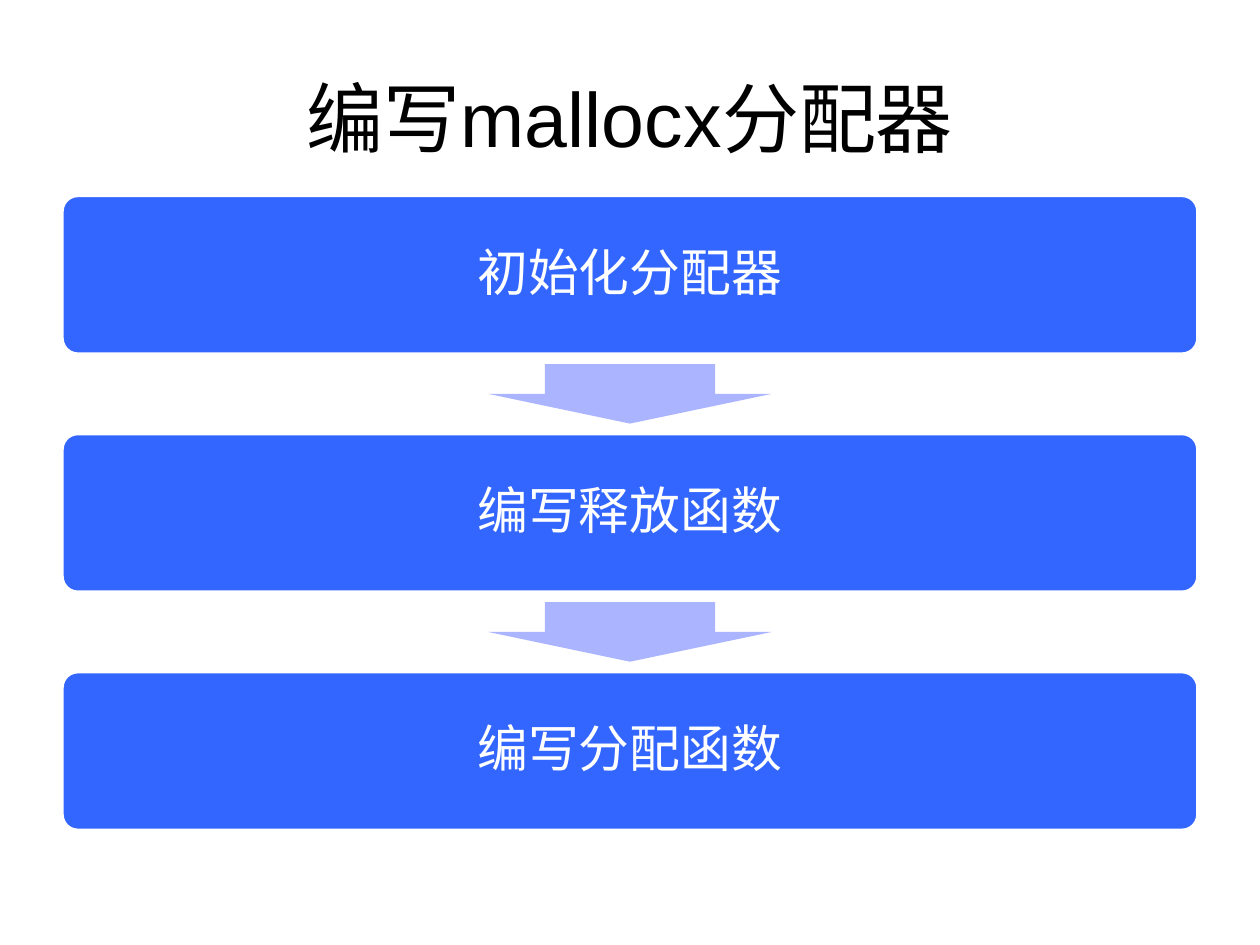
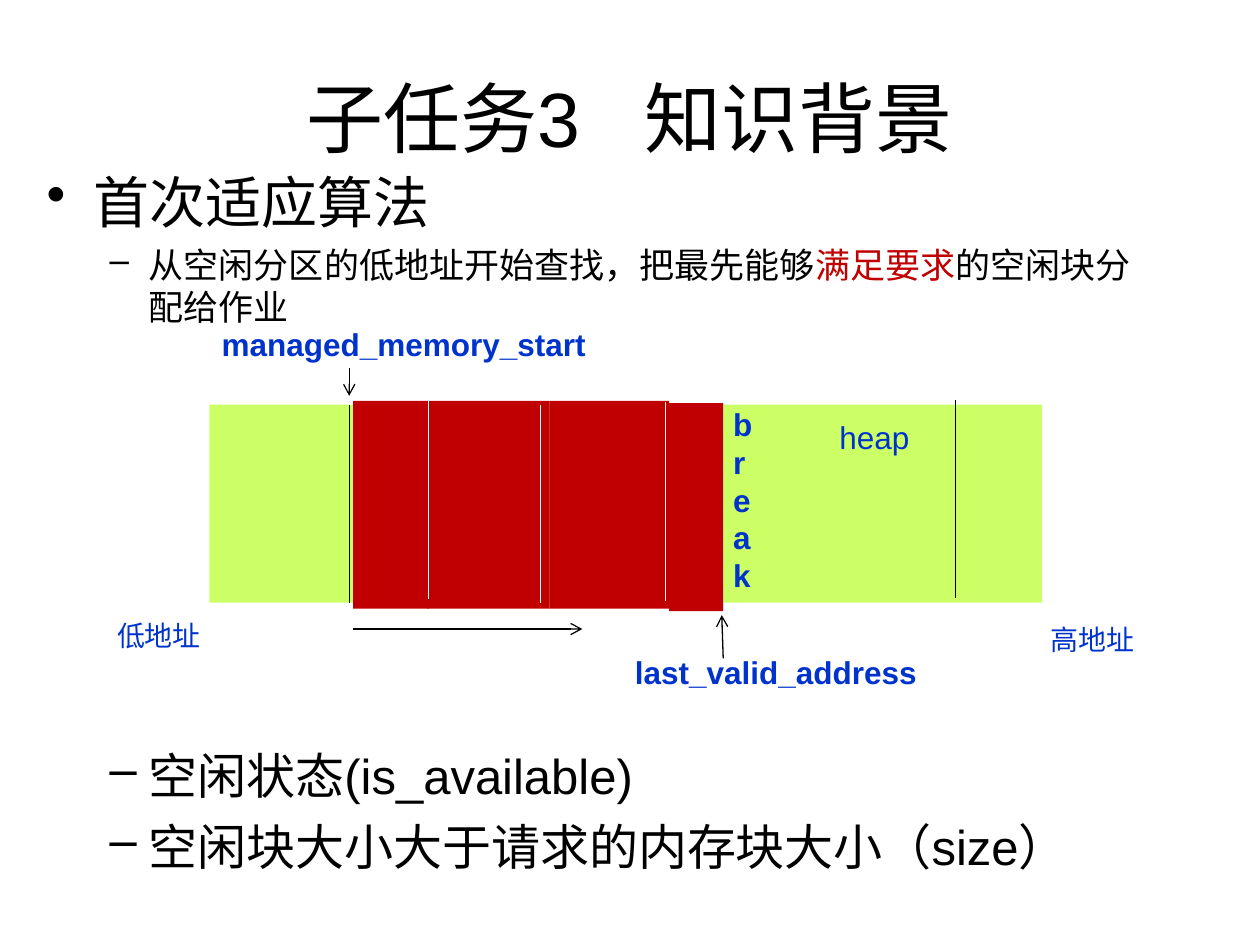
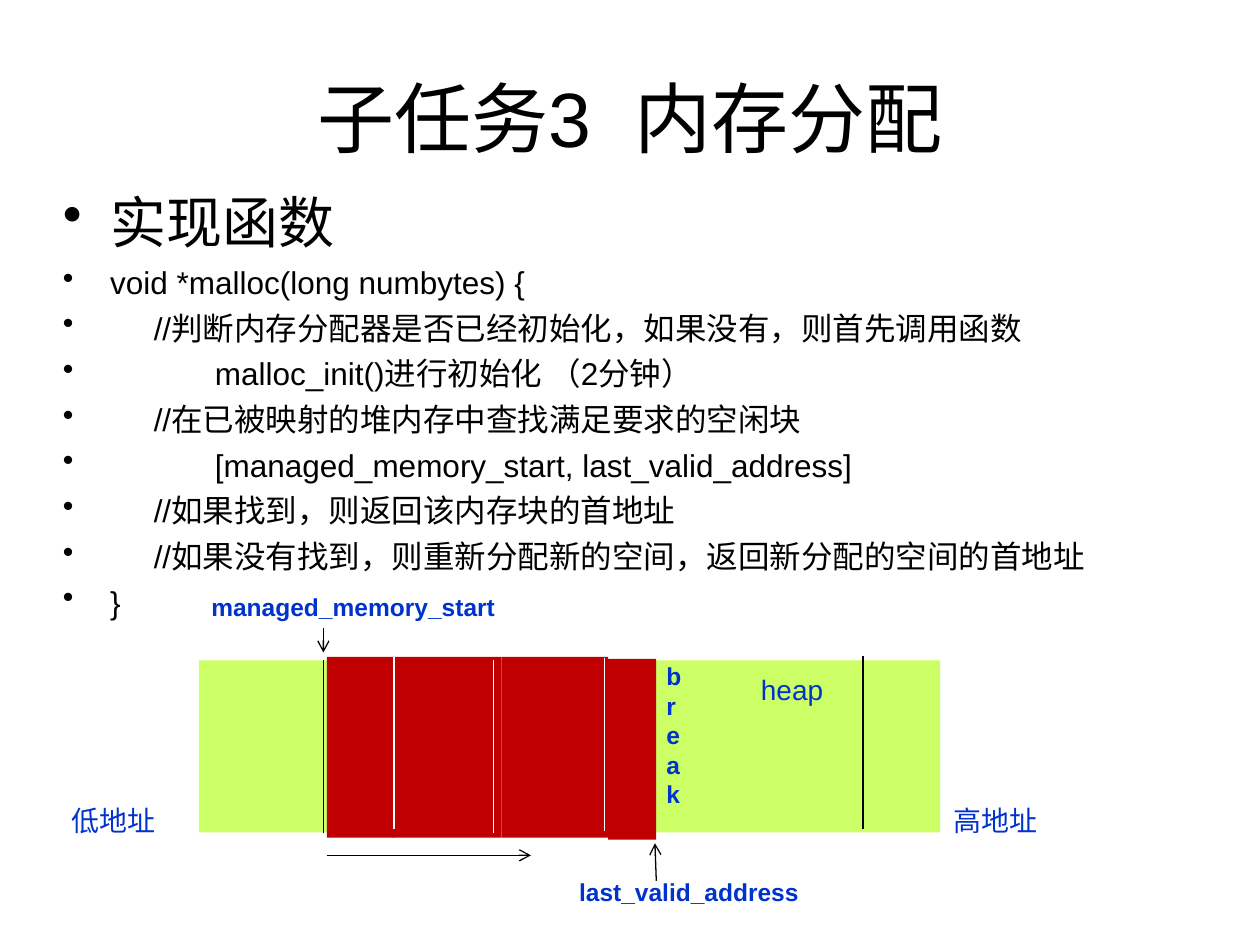
from dataclasses import dataclass

from pptx import Presentation
from pptx.dml.color import RGBColor
from pptx.enum.shapes import MSO_CONNECTOR, MSO_SHAPE
from pptx.enum.text import MSO_ANCHOR, PP_ALIGN
from pptx.oxml.ns import qn
from pptx.util import Cm, Pt

STRAIGHT = MSO_CONNECTOR.STRAIGHT
RECTANGLE = MSO_SHAPE.RECTANGLE
ROUNDED = MSO_SHAPE.ROUNDED_RECTANGLE
DOWN_ARROW = MSO_SHAPE.DOWN_ARROW
MIDDLE = MSO_ANCHOR.MIDDLE
CENTER = PP_ALIGN.CENTER

BLACK = RGBColor(0x00, 0x00, 0x00)
WHITE = RGBColor(0xFF, 0xFF, 0xFF)
STEP_BLUE = RGBColor(0x33, 0x66, 0xFF)
ARROW_BLUE = RGBColor(0xAB, 0xB4, 0xFF)
LABEL_BLUE = RGBColor(0x00, 0x33, 0xCC)
HEAP_GREEN = RGBColor(0xCC, 0xFF, 0x66)
RED = RGBColor(0xC0, 0x00, 0x00)

FONT = "Arial"
SLIDE_WIDTH, SLIDE_HEIGHT = 25.4, 19.05
TITLE_SIZE = 44
SPACE_WIDTH = 0.278
BULLETS = (("•", 0.95, -0.95), ("–", 2.06, -0.79))

MAPPED_BLOCKS = ((2.9, -0.08, 1.52), (4.39, -0.08, 2.47),
                 (6.86, -0.08, 2.41), (9.27, -0.03, 1.09))
BLOCK_BORDERS = ((4.42, -0.08), (6.68, 0), (9.19, -0.05))
HEAP_BORDERS = ((2.82, 0), (15.04, -0.1))


@dataclass
class MemoryMap:
    """Place and scale of a heap drawing, with its label sizes."""
    left: float
    top: float
    scale_x: float
    scale_y: float
    pointer_size: int
    heap_size: int

    def point(self, x, y):
        """Turn drawing centimetres into slide centimetres."""
        return self.left + x * self.scale_x, self.top + y * self.scale_y

    def area(self, x, y, width, height):
        """Turn a drawing rectangle into a slide rectangle."""
        return *self.point(x, y), width * self.scale_x, height * self.scale_y


def style_run(run, size, color, bold=False):
    """Give a run the shared font."""
    run.font.name = FONT
    run.font.size = Pt(size)
    run.font.bold = bold
    run.font.color.rgb = color


def add_text_frame(slide, left, top, width, height):
    """Add a wrapping text box and return its frame."""
    frame = slide.shapes.add_textbox(Cm(left), Cm(top), Cm(width), Cm(height)).text_frame
    frame.word_wrap = True
    return frame


def add_label(slide, area, text, size, bold=False):
    """Add a blue label, one paragraph per line of text."""
    frame = add_text_frame(slide, *area)
    frame.text = text
    for paragraph in frame.paragraphs:
        style_run(paragraph.runs[0], size, LABEL_BLUE, bold)


def add_title(slide, text, topic="", gap_spaces=1):
    """Add the centred title, with a widened gap before the topic."""
    frame = add_text_frame(slide, 0, 1.57, SLIDE_WIDTH, 1.55)
    frame.vertical_anchor = MIDDLE
    paragraph = frame.paragraphs[0]
    paragraph.alignment = CENTER
    for part in (text, " ", topic) if topic else (text,):
        run = paragraph.add_run()
        run.text = part
        style_run(run, TITLE_SIZE, BLACK)
        if part == " ":
            spacing = (gap_spaces - 1) * SPACE_WIDTH * TITLE_SIZE * 100
            run.font._element.set("spc", str(round(spacing)))


def add_bullets(slide, area, items):
    """Add bulleted paragraphs; every second part of an item is red."""
    frame = add_text_frame(slide, *area)
    for number, (level, size, *parts) in enumerate(items):
        paragraph = frame.add_paragraph() if number else frame.paragraphs[0]
        paragraph.level = level
        mark, margin, indent = BULLETS[level]
        properties = paragraph._p.get_or_add_pPr()
        properties.set("marL", str(Cm(margin)))
        properties.set("indent", str(Cm(indent)))
        bullet = properties.makeelement(qn("a:buChar"), {"char": mark})
        properties.append(bullet)
        paragraph.space_before = Pt(size / 4 if number else 0)
        for index, part in enumerate(parts):
            run = paragraph.add_run()
            run.text = part
            style_run(run, size, RED if index % 2 else BLACK)


def add_block(slide, kind, area, color):
    """Add a filled preset shape without outline or shadow."""
    block = slide.shapes.add_shape(kind, *(Cm(length) for length in area))
    block.shadow.inherit = False
    block.fill.solid()
    block.fill.fore_color.rgb = color
    block.line.fill.background()
    return block


def add_line(slide, start, end, color=BLACK, arrow=False):
    """Add a thin straight line, with an open arrowhead if asked."""
    line = slide.shapes.add_connector(STRAIGHT, *(Cm(length) for length in (*start, *end)))
    line.line.color.rgb = color
    line.line.width = Pt(0.75)
    properties = line._element.spPr
    if arrow:
        outline = line.line._get_or_add_ln()
        outline.append(outline.makeelement(qn("a:tailEnd"), {"type": "arrow"}))
    properties.append(properties.makeelement(qn("a:effectLst"), {}))


def add_steps(slide, steps):
    """Stack the steps with a down arrow in every gap."""
    left, top, width, height, pitch = 1.25, 3.94, 22.9, 3.2, 4.8
    arrow_width, arrow_height = 5.72, 1.2
    for number, text in enumerate(steps):
        step_top = top + number * pitch
        step = add_block(slide, ROUNDED, (left, step_top, width, height), STEP_BLUE)
        step.adjustments[0] = 0.1
        step.line.color.rgb = WHITE
        step.line.width = Pt(2)
        frame = step.text_frame
        frame.text = text
        frame.vertical_anchor = MIDDLE
        paragraph = frame.paragraphs[0]
        paragraph.alignment = CENTER
        paragraph.line_spacing = 0.9
        style_run(paragraph.runs[0], 29, WHITE)
        if number:
            arrow_left = left + (width - arrow_width) / 2
            arrow_top = step_top - (pitch - height + arrow_height) / 2
            arrow = add_block(slide, DOWN_ARROW,
                              (arrow_left, arrow_top, arrow_width, arrow_height), ARROW_BLUE)
            arrow.adjustments[0] = 0.6
            arrow.adjustments[1] = 0.5


def add_memory_map(slide, memory, low_label, high_label):
    """Draw the heap, its mapped blocks and the pointers to them."""
    point, area = memory.point, memory.area
    add_block(slide, RECTANGLE, area(0, 0, 16.79, 3.99), HEAP_GREEN)
    for left, top, width in MAPPED_BLOCKS:
        add_block(slide, RECTANGLE, area(left, top, width, 4.19), RED)
    for borders, color in ((HEAP_BORDERS, BLACK), (BLOCK_BORDERS, WHITE)):
        for x, top in borders:
            add_line(slide, point(x, top), point(x, top + 4), color)

    for start, end in (((2.82, -0.74), (2.82, -0.18)),
                       ((10.36, 5.11), (10.33, 4.24)),
                       ((2.9, 4.52), (7.52, 4.52))):
        add_line(slide, point(*start), point(*end), arrow=True)

    for text, place in (("managed_memory_start", (0, -1.73, 8.51, 1)),
                        ("last_valid_address", (8.33, 4.88, 6.2, 1)),
                        ("b\nr\neak", (10.31, -0.12, 1.09, 4.06))):
        add_label(slide, area(*place), text, memory.pointer_size, bold=True)
    add_label(slide, area(12.45, 0.15, 2.01, 1), "heap", memory.heap_size)
    for text, place in (("低地址", low_label), ("高地址", high_label)):
        add_label(slide, (*place, 2.8, 0.94), text, 16)


def build_steps_slide(slide):
    """Show the order of writing the allocator."""
    add_title(slide, "编写mallocx分配器")
    add_steps(slide, ("初始化分配器", "编写释放函数", "编写分配函数"))


def build_background_slide(slide):
    """Explain the first-fit search."""
    add_title(slide, "子任务3", "知识背景", 3)
    add_bullets(slide, (0.69, 3.25, 22.9, 3.6), (
        (0, 32, "首次适应算法"),
        (1, 20, "从空闲分区的低地址开始查找，把最先能够", "满足要求", "的空闲块分配给作业"),
    ))
    add_bullets(slide, (0.69, 14.91, 22.9, 3.2), (
        (1, 28, "空闲状态(is_available)"),
        (1, 28, "空闲块大小大于请求的内存块大小（size）"),
    ))
    add_memory_map(slide, MemoryMap(4.22, 8.16, 1, 1, 18, 18),
                   (2.11, 12.34), (20.93, 12.42))


def build_allocation_slide(slide):
    """Outline the allocation function."""
    add_title(slide, "子任务3", "内存分配", 2)
    code = (
        "void *malloc(long numbytes) {",
        "     //判断内存分配器是否已经初始化，如果没有，则首先调用函数",
        "            malloc_init()进行初始化 （2分钟）",
        "     //在已被映射的堆内存中查找满足要求的空闲块",
        "            [managed_memory_start, last_valid_address]",
        "     //如果找到，则返回该内存块的首地址",
        "     //如果没有找到，则重新分配新的空间，返回新分配的空间的首地址",
        "}",
    )
    add_bullets(slide, (1.02, 3.66, 23.44, 12.8),
                ((0, 32, "实现函数"), *((0, 18, line) for line in code)))
    add_memory_map(slide, MemoryMap(4.01, 13.31, 0.89, 0.87, 14, 16),
                   (1.19, 16.08), (18.97, 16.08))


def main():
    """Build and save the slides."""
    presentation = Presentation()
    presentation.slide_width = Cm(SLIDE_WIDTH)
    presentation.slide_height = Cm(SLIDE_HEIGHT)
    blank = presentation.slide_layouts[6]
    for build in (build_steps_slide, build_background_slide, build_allocation_slide):
        build(presentation.slides.add_slide(blank))
    presentation.save("out.pptx")


if __name__ == "__main__":
    main()
